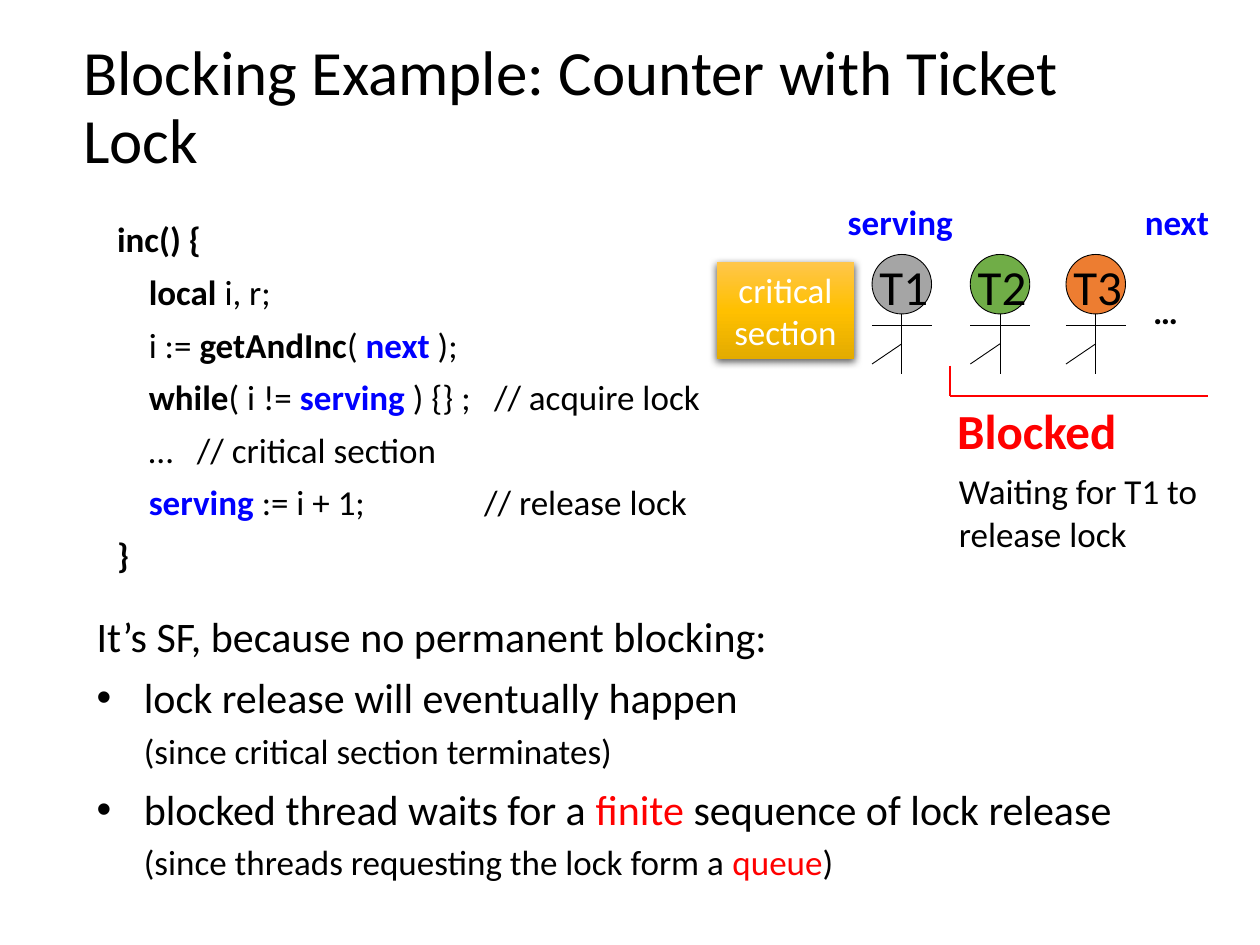
import copy

import pptx
import pptx.dml.color
import pptx.enum.shapes
import pptx.enum.text
import pptx.oxml
import pptx.oxml.ns
import pptx.util
from pptx.util import Cm, Pt

BLACK, BLUE, RED, WHITE = "000000", "0000FF", "FF0000", "FFFFFF"
MID = pptx.enum.text.PP_ALIGN.CENTER
SHAPE = pptx.enum.shapes.MSO_SHAPE
NS = pptx.oxml.ns.nsdecls("a")

TITLE = "Blocking Example: Counter with Ticket Lock"

# A run is (text, style); style letters: b bold, u blue, r red.
# A code line is (runs, tab stops in cm).
STEP = 0.64
CODE = [
    ([("inc() {", "b")], []),
    ([("\t", ""), ("local ", "b"), ("i, r;", "")], [STEP]),
    ([("\ti := ", ""), ("getAndInc", "b"), ("( ", ""), ("next", "bu"),
      (" );", "")], [STEP]),
    ([("\t", ""), ("while", "b"), ("( i != ", ""), ("serving ", "bu"),
      (") {} ;\t// acquire lock", "")], [STEP, 7.6]),
    ([("\t…\t// critical section", "")], [STEP, 1.61]),
    ([("\t", ""), ("serving ", "bu"), (":= i + 1;\t// release lock", "")],
     [STEP, 7.4]),
    ([("}", "b")], []),
]

# A reason is (kind, runs).
REASONS = [
    ("lead", [("It’s SF, because no permanent blocking:", "")]),
    ("point", [("lock release will eventually happen", "")]),
    ("note", [("(since critical section terminates)", "")]),
    ("point", [("blocked thread waits for a ", ""), ("finite", "r"),
               (" sequence of lock release", "")]),
    ("note", [("(since threads requesting the lock form a ", ""),
              ("queue", "r"), (")", "")]),
]
# kind: size, space before, space after, left margin in cm, bullet
KINDS = {
    "lead": (24, 6, 0, 0, False),
    "point": (24, 6, 0, 0.95, True),
    "note": (20, 4, 1, 0.95, False),
}

# text, style, size, box in cm, wrap, centred
LABELS = [
    ("serving", "bu", 20, (16.84, 3.91, 2.64, 1.12), False, False),
    ("next", "bu", 20, (22.81, 3.91, 1.83, 1.12), False, True),
    ("…", "b", 20, (22.99, 5.72, 1.02, 1.12), False, True),
    ("Blocked", "br", 28, (19.02, 7.95, 3.76, 1.45), False, True),
    ("Waiting for T1 to release lock", "", 20, (19.08, 9.35, 5.61, 1.96),
     True, False),
]

# name, head colour, left in cm
THREADS = [("T3", "ED7D31", 21.49), ("T2", "70AD47", 19.56),
           ("T1", "A5A5A5", 17.58)]
HEAD, UNIT = 5.13, 0.6  # head top and radius, cm
# Limbs in head radii from the top left of the head
LIMBS = [((0, 2.37), (2, 2.37)), ((1, 2), (1, 3)),
         ((1, 3), (0, 3.68)), ((1, 3), (1, 4))]

BRACKET = [(19.15, 7.37), (19.15, 7.98), (24.36, 7.98)]
GRADE = [(0, "FFC64B"), (0.5, "FFC000"), (1, "E3AB00")]


def rgb(code):
    return pptx.dml.color.RGBColor.from_string(code)


def write(para, runs, size, base=BLACK):
    for text, style in runs:
        run = para.add_run()
        run.text = text
        font = run.font
        font.name, font.size = "Calibri", Pt(size)
        font.bold = "b" in style
        font.color.rgb = rgb(BLUE if "u" in style else
                             RED if "r" in style else base)


def text_box(shapes, box, wrap=True):
    frame = shapes.add_textbox(*map(Cm, box)).text_frame
    frame.word_wrap = wrap
    return frame


def paras(frame, count):
    """Yield count paragraphs, the first being the one already there."""
    yield frame.paragraphs[0]
    for _ in range(count - 1):
        yield frame.add_paragraph()


def line(shapes, start, end, color, width):
    link = shapes.add_connector(pptx.enum.shapes.MSO_CONNECTOR.STRAIGHT,
                                *map(Cm, (*start, *end)))
    link.line.color.rgb = rgb(color)
    link.line.width = Pt(width)
    link._element.spPr.append(pptx.oxml.parse_xml(f"<a:effectLst {NS}/>"))


def add_code(shapes):
    frame = text_box(shapes, (2.11, 4.27, 12.75, 7.52))
    for para, (runs, stops) in zip(paras(frame, len(CODE)), CODE):
        para.space_before = Pt(6)
        write(para, runs, 20)
        if stops:
            tabs = "".join(f'<a:tab pos="{Cm(x)}" algn="l"/>' for x in stops)
            para._p.get_or_add_pPr().append(pptx.oxml.parse_xml(
                f"<a:tabLst {NS}>{tabs}</a:tabLst>"))


def add_reasons(shapes):
    frame = text_box(shapes, (1.7, 12.19, 21, 6.02))
    for para, (kind, runs) in zip(paras(frame, len(REASONS)), REASONS):
        size, before, after, left, dot = KINDS[kind]
        para.space_before, para.space_after = Pt(before), Pt(after)
        write(para, runs, size)
        props = para._p.get_or_add_pPr()
        props.set("marL", str(Cm(left)))
        props.set("indent", str(-Cm(left) if dot else 0))
        if dot:
            for tag in ('buFont typeface="Arial"', 'buChar char="•"'):
                props.append(pptx.oxml.parse_xml(f"<a:{tag} {NS}/>"))


def add_section(shapes):
    box = shapes.add_shape(SHAPE.RECTANGLE,
                           *map(Cm, (14.45, 5.28, 2.77, 1.96)))
    box.line.fill.background()
    box.fill.gradient()
    box.fill.gradient_angle = 270
    stops = box._element.spPr.find(".//" + pptx.oxml.ns.qn("a:gsLst"))
    stops.append(copy.deepcopy(stops[0]))
    for stop, (place, color) in zip(box.fill.gradient_stops, GRADE):
        stop.position, stop.color.rgb = place, rgb(color)
    box.shadow.inherit = False
    box._element.spPr.find(pptx.oxml.ns.qn("a:effectLst")).append(
        pptx.oxml.parse_xml(
            f'<a:outerShdw {NS} blurRad="{Pt(4.5)}" dist="{Pt(1.5)}" '
            'dir="5400000" algn="ctr" rotWithShape="0">'
            '<a:srgbClr val="000000"><a:alpha val="63000"/></a:srgbClr>'
            "</a:outerShdw>"))
    para = box.text_frame.paragraphs[0]
    para.alignment = MID
    write(para, [("critical section", "")], 20, WHITE)


def add_thread(shapes, name, color, left):
    parts = shapes.add_group_shape().shapes
    head = parts.add_shape(SHAPE.OVAL, Cm(left), Cm(HEAD),
                           Cm(2 * UNIT), Cm(2 * UNIT))
    head.shadow.inherit = False
    head.fill.solid()
    head.fill.fore_color.rgb = rgb(color)
    head.line.color.rgb = rgb(BLACK)
    head.line.width = Pt(0.5)
    for limb in LIMBS:
        start, end = [(left + x * UNIT, HEAD + y * UNIT) for x, y in limb]
        line(parts, start, end, BLACK, 0.5)
    frame = text_box(parts, (left - 0.1, HEAD - 0.08, 1.55, 1.45), False)
    write(frame.paragraphs[0], [(name, "")], 28)


def main():
    deck = pptx.Presentation()
    deck.slide_width, deck.slide_height = Cm(25.4), Cm(19.05)
    slide = deck.slides.add_slide(deck.slide_layouts[5])
    shapes = slide.shapes

    title = shapes.title
    title.left, title.top, title.width, title.height = map(
        Cm, (1.42, 0.36, 22.58, 3.68))
    title.text_frame.vertical_anchor = pptx.enum.text.MSO_ANCHOR.MIDDLE
    para = title.text_frame.paragraphs[0]
    para.alignment = pptx.enum.text.PP_ALIGN.LEFT
    para.line_spacing = 0.9
    write(para, [(TITLE, "")], 36)

    add_code(shapes)
    add_section(shapes)
    add_reasons(shapes)
    bracket = shapes.add_group_shape().shapes
    for start, end in zip(BRACKET, BRACKET[1:]):
        line(bracket, start, end, RED, 1.5)
    for thread in THREADS:
        add_thread(shapes, *thread)
    for text, style, size, box, wrap, centred in LABELS:
        para = text_box(shapes, box, wrap).paragraphs[0]
        if centred:
            para.alignment = MID
        write(para, [(text, style)], size)

    deck.save("out.pptx")


if __name__ == "__main__":
    main()
